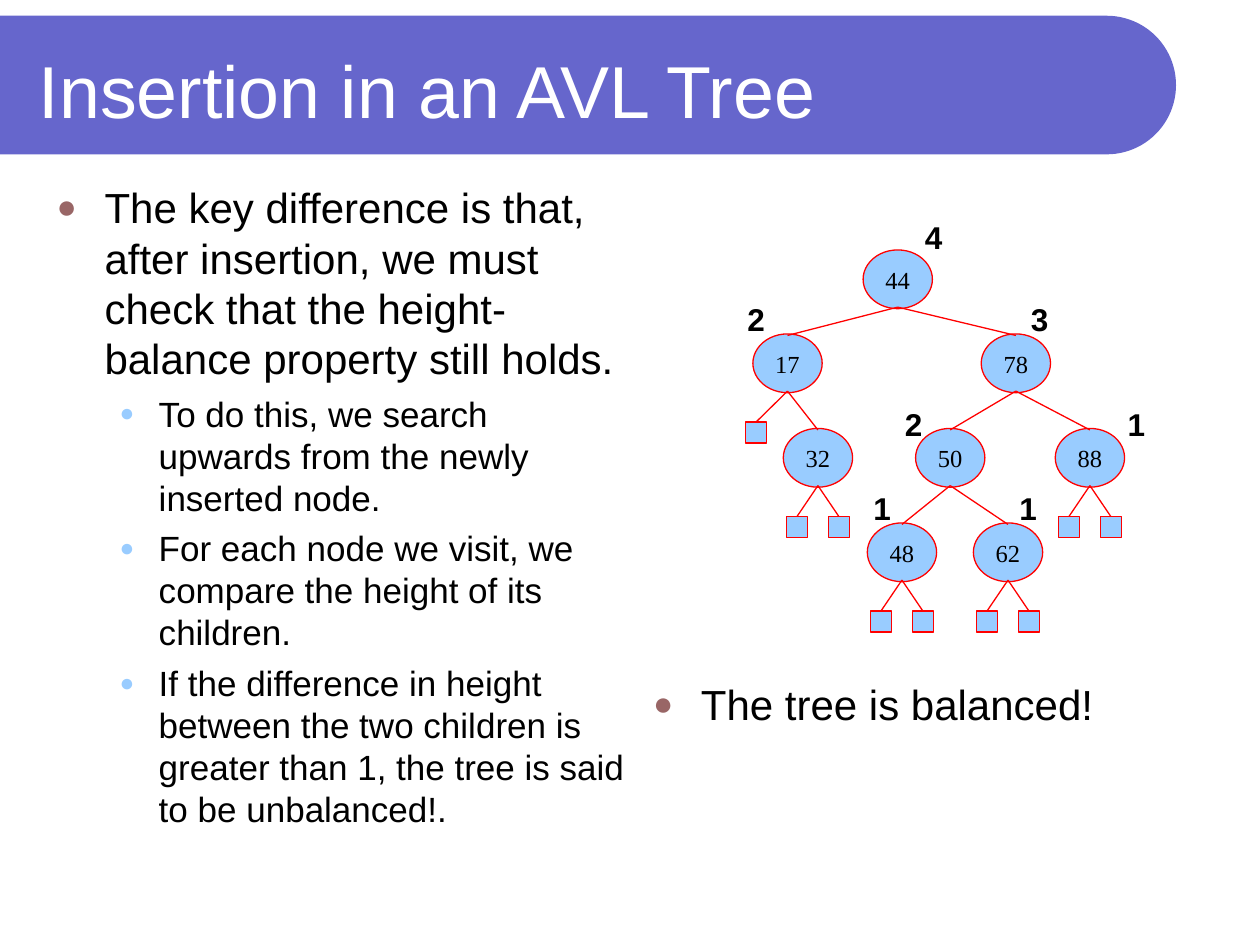
from dataclasses import dataclass
from typing import Optional

from lxml import etree
from pptx import Presentation
from pptx import util as u
from pptx.dml.color import RGBColor
from pptx.enum import shapes, text
from pptx.oxml.ns import qn

COLORS = {
    "banner": "6666CC", "title": "FFFFFF", "ink": "000000",
    "node": "99CCFF", "edge": "FF0000",
    "bullet": "996666", "subbullet": "99CCFF",
}
WIDTH, HEIGHT = u.Inches(10), u.Inches(7.5)
COLUMNS, ROWS = 120, 90
LEVEL_ROWS = (26.6, 34.6, 43.6, 52.6)
NODE_W, NODE_H = 6.6, 5.6
LEAF_SIZE, LEAF_DROP = 2, 6.6
LABEL_W, LABEL_H = 4, 4.8


@dataclass(frozen=True)
class Node:
    key: str
    column: float
    level: int
    parent: Optional[str] = None
    leaves: tuple = ()
    height: str = ""
    height_offset: tuple = (0, 0)

    @property
    def row(self) -> float:
        return LEVEL_ROWS[self.level]


@dataclass(frozen=True)
class Bullet:
    wording: str
    level: int = 0


@dataclass(frozen=True)
class BulletStyle:
    size: int
    margin: float
    hang: float
    before: int
    color: str
    percent: int


BULLET_STYLES = (
    BulletStyle(24, 0.38, 0.38, 6, "bullet", 80),
    BulletStyle(20, 0.81, 0.31, 5, "subbullet", 70),
)
TREE = (
    Node("44", 85.5, 0, None, (), "4", (3.4, -4)),
    Node("17", 75, 1, "44", (-3,), "2", (-3, -4.2)),
    Node("78", 96.75, 1, "44", (), "3", (2.25, -4.2)),
    Node("32", 77.9, 2, "17", (-2, 2)),
    Node("50", 90.5, 2, "78", (), "2", (-3.5, -3.2)),
    Node("88", 103.8, 2, "78", (-2, 2), "1", (4.4, -3.2)),
    Node("48", 85.9, 3, "50", (-2, 2), "1", (-1.9, -4.2)),
    Node("62", 96, 3, "50", (-2, 2), "1", (1.9, -4.2)),
)
RULES = (
    Bullet("The key difference is that, after insertion, we must check that "
           "the height-balance property still holds."),
    Bullet("To do this, we search upwards from the newly inserted node.", 1),
    Bullet("For each node we visit, we compare the height of its children.", 1),
    Bullet("If the difference in height between the two children is greater "
           "than 1, the tree is said to be unbalanced!.", 1),
)
VERDICT = (Bullet("The tree is balanced!"),)


def x(column: float) -> int:
    return round(WIDTH * column / COLUMNS)


def y(row: float) -> int:
    return round(HEIGHT * row / ROWS)


def centered(column: float, row: float, width: float, height: float) -> tuple:
    return x(column - width / 2), y(row - height / 2), x(width), y(height)


def place(shape, left: float, top: float, width: float, height: float) -> None:
    shape.left, shape.top = x(left), y(top)
    shape.width, shape.height = x(width), y(height)


def write(paragraph, wording: str, *, size: int, font: str = "Arial",
          color: str = "ink", bold: bool = False,
          align=text.PP_ALIGN.LEFT) -> None:
    paragraph.alignment = align
    run = paragraph.add_run()
    run.text = wording
    run.font.name, run.font.size, run.font.bold = font, u.Pt(size), bold
    run.font.color.rgb = RGBColor.from_string(COLORS[color])


def add_bullet(paragraph, style: BulletStyle) -> None:
    props = paragraph._p.get_or_add_pPr()
    props.set("marL", str(u.Inches(style.margin)))
    props.set("indent", str(-u.Inches(style.hang)))
    tint = etree.SubElement(props, qn("a:buClr"))
    etree.SubElement(tint, qn("a:srgbClr"), val=COLORS[style.color])
    etree.SubElement(props, qn("a:buSzPct"), val=str(style.percent * 1000))
    etree.SubElement(props, qn("a:buFont"), typeface="Arial")
    etree.SubElement(props, qn("a:buChar"), char="●")


def fill_list(body, bullets: tuple) -> None:
    frame = body.text_frame
    frame.auto_size = text.MSO_AUTO_SIZE.NONE
    for index, bullet in enumerate(bullets):
        paragraph = frame.add_paragraph() if index else frame.paragraphs[0]
        style = BULLET_STYLES[bullet.level]
        paragraph.level = bullet.level
        add_bullet(paragraph, style)
        paragraph.space_before = u.Pt(style.before if index else 0)
        write(paragraph, bullet.wording, size=style.size)


def draw_shape(slide, kind, box: tuple, fill: str, line: Optional[str] = None):
    shape = slide.shapes.add_shape(kind, *box)
    shape.shadow.inherit = False
    shape.fill.solid()
    shape.fill.fore_color.rgb = RGBColor.from_string(COLORS[fill])
    if line:
        shape.line.color.rgb = RGBColor.from_string(COLORS[line])
        shape.line.width = u.Pt(0.75)
    else:
        shape.line.fill.background()
    return shape


def draw_banner(slide) -> None:
    kind = shapes.MSO_SHAPE.ROUND_2_SAME_RECTANGLE
    box = centered(56, 8.1, 0, 0)[:2]
    thickness, length = y(13.2), x(112)
    banner = draw_shape(slide, kind, (box[0] - thickness // 2, box[1] - length // 2,
                                      thickness, length), "banner")
    banner.adjustments[0] = 0.5
    banner.rotation = 90
    slide.shapes.title._element.addprevious(banner._element)


def draw_edge(slide, start: tuple, end: tuple) -> None:
    edge = slide.shapes.add_connector(
        shapes.MSO_CONNECTOR.STRAIGHT, x(start[0]), y(start[1]), x(end[0]), y(end[1]))
    edge.line.color.rgb = RGBColor.from_string(COLORS["edge"])
    edge.line.width = u.Pt(0.75)
    etree.SubElement(edge._element.spPr, qn("a:effectLst"))


def draw_node(slide, node: Node) -> None:
    oval = draw_shape(slide, shapes.MSO_SHAPE.OVAL,
                      centered(node.column, node.row, NODE_W, NODE_H), "node", "edge")
    frame = oval.text_frame
    frame.word_wrap = False
    frame.vertical_anchor = text.MSO_ANCHOR.MIDDLE
    write(frame.paragraphs[0], node.key, size=14, font="Times New Roman",
          align=text.PP_ALIGN.CENTER)


def draw_branches(slide, node: Node, parent: Optional[Node]) -> None:
    reach = NODE_H / 2 - 0.15
    if parent:
        draw_edge(slide, (parent.column, parent.row + reach),
                  (node.column, node.row - reach))
    for offset in node.leaves:
        column, row = node.column + offset, node.row + LEAF_DROP
        draw_shape(slide, shapes.MSO_SHAPE.RECTANGLE,
                   centered(column, row, LEAF_SIZE, LEAF_SIZE), "node", "edge")
        draw_edge(slide, (node.column, node.row + reach),
                  (column, row - LEAF_SIZE / 2))


def draw_height(slide, node: Node) -> None:
    across, down = node.height_offset
    label = slide.shapes.add_textbox(
        *centered(node.column + across, node.row + down, LABEL_W, LABEL_H))
    label.text_frame.word_wrap = False
    write(label.text_frame.paragraphs[0], node.height, size=18, bold=True,
          align=text.PP_ALIGN.CENTER)


def main() -> None:
    deck = Presentation()
    deck.slide_width, deck.slide_height = WIDTH, HEIGHT
    slide = deck.slides.add_slide(deck.slide_layouts[3])
    title, rules, verdict = slide.placeholders
    draw_banner(slide)

    place(title, 2.5, 2.5, 105.25, 12)
    title.text_frame.auto_size = text.MSO_AUTO_SIZE.NONE
    title.text_frame.vertical_anchor = text.MSO_ANCHOR.MIDDLE
    write(title.text_frame.paragraphs[0], "Insertion in an AVL Tree",
          size=42, color="title")
    place(rules, 4.2, 16.7, 56.8, 69)
    fill_list(rules, RULES)
    place(verdict, 61, 64, 54.7, 21.6)
    fill_list(verdict, VERDICT)

    nodes = {node.key: node for node in TREE}
    for node in TREE:
        draw_node(slide, node)
    for node in TREE:
        draw_branches(slide, node, nodes.get(node.parent))
        if node.height:
            draw_height(slide, node)
    deck.save("out.pptx")


if __name__ == "__main__":
    main()
